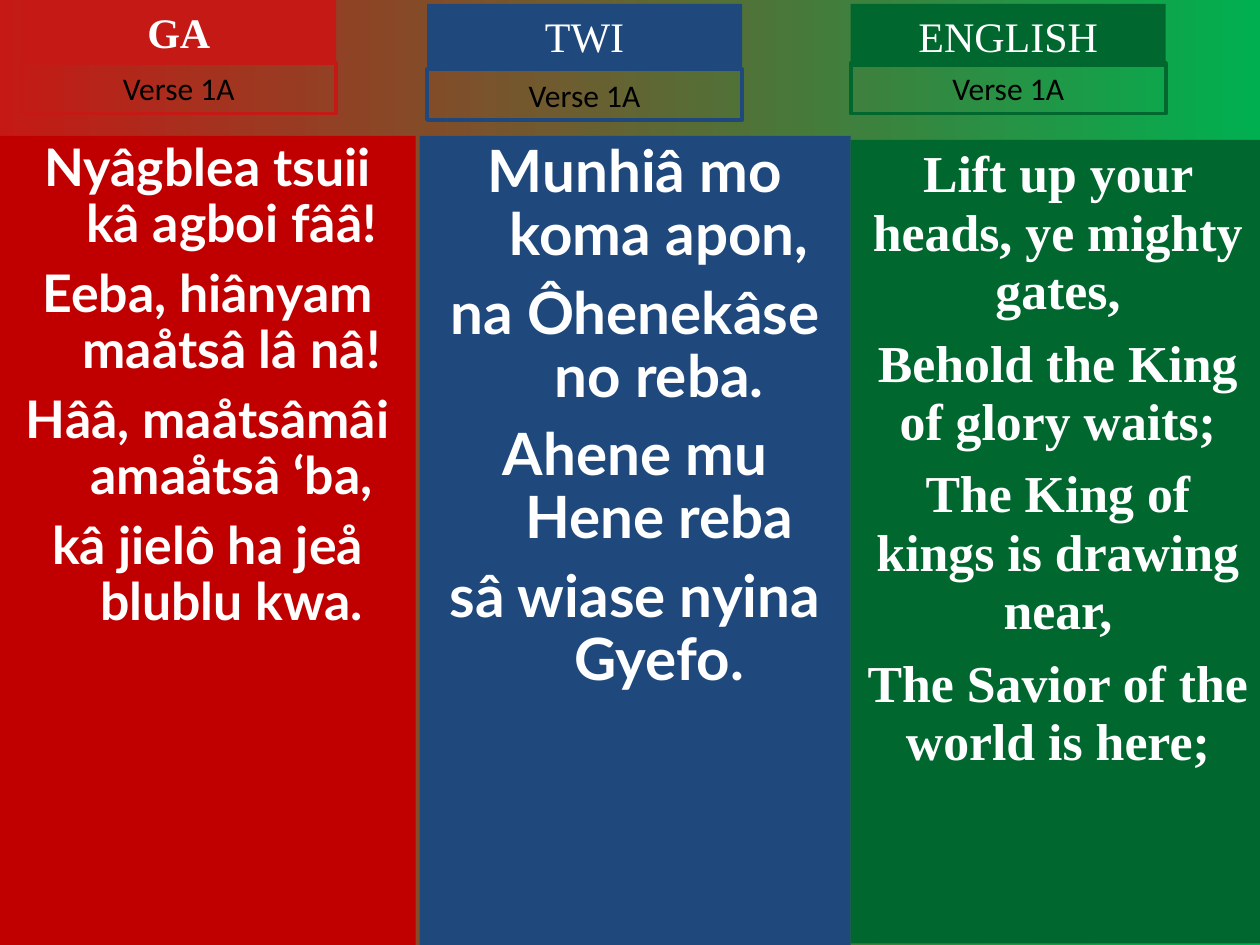
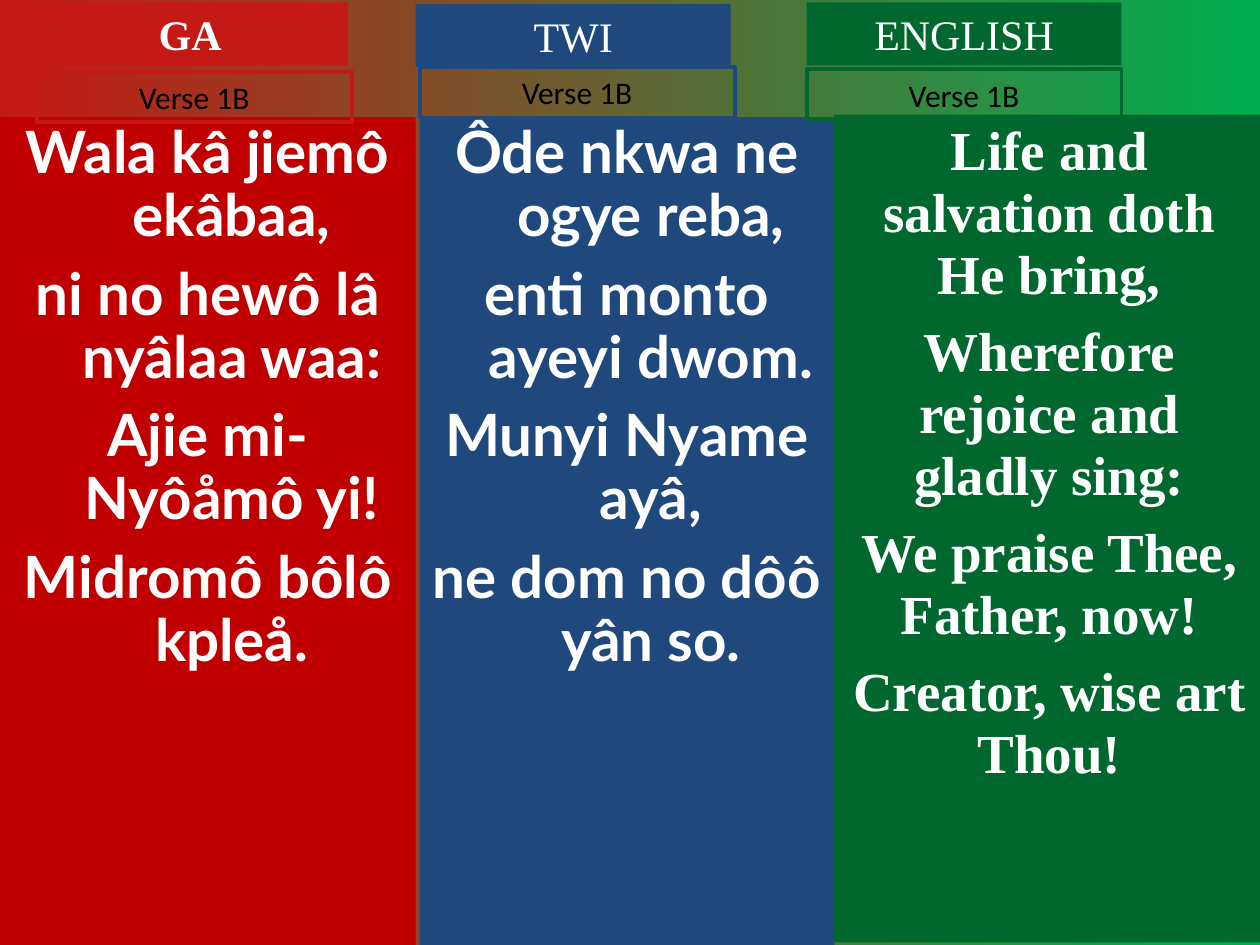
from dataclasses import dataclass

from pptx import Presentation
from pptx.dml.color import RGBColor
from pptx.enum.shapes import MSO_SHAPE
from pptx.enum.text import MSO_ANCHOR, PP_ALIGN
from pptx.util import Cm, Pt

RECTANGLE = MSO_SHAPE.RECTANGLE
TOP = MSO_ANCHOR.TOP
CENTER = PP_ALIGN.CENTER

COLORS = {
    "ga": "C51915", "ga_body": "C00000",
    "twi": "1F497D", "english": "00682F",
    "gradient_end": "00B050", "white": "FFFFFF", "black": "000000",
}
SERIF, SANS, LYRIC_SANS = "Times New Roman", "Calibri", "Lato"

# Sizes in centimetres
TAB_WIDTH, HEADER_HEIGHT, VERSE_HEIGHT = 6.35, 1.27, 1.02
HANGING_INDENT = 0.97


@dataclass(frozen=True)
class Language:
    name: str
    color: str
    body_color: str
    lyric_font: str
    line_spacing: float
    hanging: bool
    bold_name: bool = False


@dataclass(frozen=True)
class Area:
    left: float
    top: float
    width: float
    height: float


@dataclass(frozen=True)
class TextStyle:
    font: str
    size: float
    color: str
    bold: bool = False
    line_spacing: float = 1.0
    space_before: float = 0
    hanging: bool = False


@dataclass(frozen=True)
class Column:
    language: Language
    body: Area
    header: tuple[float, float]
    verse: tuple[float, float]
    size: float
    space_before: float
    lines: list[str]


GA = Language("GA", "ga", "ga_body", LYRIC_SANS, 0.9, True, True)
TWI = Language("TWI", "twi", "twi", LYRIC_SANS, 0.9, True)
ENGLISH = Language("ENGLISH", "english", "english", SERIF, 0.94, False)

VERSES = {
    "Verse 1A": [
        Column(GA, Area(0, 2.74, 8.38, 16.31), (0.43, 0), (0.43, 1.27), 29.6, 8, [
            "Nyâgblea tsuii kâ agboi fââ!",
            "Eeba, hiânyam maåtsâ lâ nâ!",
            "Hââ, maåtsâmâi amaåtsâ ‘ba,",
            "kâ jielô ha jeå blublu kwa.",
        ]),
        Column(TWI, Area(8.46, 2.74, 8.69, 16.31), (8.61, 0.08), (8.61, 1.4), 33.3, 9, [
            "Munhiâ mo koma apon,",
            "na Ôhenekâse no reba.",
            "Ahene mu Hene reba",
            "sâ wiase nyina Gyefo.",
        ]),
        Column(ENGLISH, Area(17.15, 2.82, 8.36, 16.2), (17.15, 0.08), (17.15, 1.27), 29.6, 8, [
            "Lift up your heads, ye mighty gates,",
            "Behold the King of glory waits;",
            "The King of kings is drawing near,",
            "The Savior of the world is here;",
        ]),
    ],
    "Verse 1B": [
        Column(GA, Area(0, 2.36, 8.38, 16.69), (0.66, 0.05), (0.74, 1.45), 33.3, 9, [
            "Wala kâ jiemô ekâbaa,",
            "ni no hewô lâ nyâlaa waa:",
            "Ajie mi-Nyôåmô yi!",
            "Midromô bôlô kpleå.",
        ]),
        Column(TWI, Area(8.46, 2.36, 8.36, 16.69), (8.38, 0.08), (8.46, 1.35), 33.3, 9, [
            "Ôde nkwa ne ogye reba,",
            "enti monto ayeyi dwom.",
            "Munyi Nyame ayâ,",
            "ne dom no dôô yân so.",
        ]),
        Column(ENGLISH, Area(16.81, 2.31, 8.69, 16.69), (16.26, 0.05), (16.26, 1.4), 31.4, 8.5, [
            "Life and salvation doth He bring,",
            "Wherefore rejoice and gladly sing:",
            "We praise Thee, Father, now!",
            "Creator, wise art Thou!",
        ]),
    ],
}


def rgb(name: str) -> RGBColor:
    return RGBColor.from_string(COLORS[name])


def paint_background(page) -> None:
    fill = page.background.fill
    fill.gradient()
    fill.gradient_angle = 0
    for stop, name in zip(fill.gradient_stops, ("ga", "gradient_end")):
        stop.color.rgb = rgb(name)


def add_panel(page, area: Area, lines: list[str], style: TextStyle,
              fill: str | None = None, line: str | None = None) -> None:
    """Draw a rectangle with one centred paragraph per line."""
    box = page.shapes.add_shape(RECTANGLE, Cm(area.left), Cm(area.top),
                                Cm(area.width), Cm(area.height))
    box.shadow.inherit = False
    if fill:
        box.fill.solid()
        box.fill.fore_color.rgb = rgb(fill)
    else:
        box.fill.background()
    if line:
        box.line.color.rgb = rgb(line)
        box.line.width = Pt(2.25)
    else:
        box.line.fill.background()

    frame = box.text_frame
    frame.word_wrap = True
    frame.vertical_anchor = TOP
    for index, text in enumerate(lines):
        para = frame.add_paragraph() if index else frame.paragraphs[0]
        para.alignment = CENTER
        para.line_spacing = style.line_spacing
        para.space_before = Pt(style.space_before if index else 0)
        if style.hanging:
            properties = para._p.get_or_add_pPr()
            properties.set("marL", str(Cm(HANGING_INDENT)))
            properties.set("indent", str(-Cm(HANGING_INDENT)))
        span = para.add_run()
        span.text = text
        span.font.name = style.font
        span.font.size = Pt(style.size)
        span.font.bold = style.bold
        span.font.color.rgb = rgb(style.color)


def add_column(page, column: Column, verse: str) -> None:
    language = column.language
    # Lyrics
    add_panel(page, column.body, column.lines,
              TextStyle(language.lyric_font, column.size, "white", True,
                        language.line_spacing, column.space_before, language.hanging),
              fill=language.body_color)
    # Language name
    add_panel(page, Area(*column.header, TAB_WIDTH, HEADER_HEIGHT), [language.name],
              TextStyle(SERIF, 24, "white", language.bold_name), fill=language.color)
    # Verse label
    add_panel(page, Area(*column.verse, TAB_WIDTH, VERSE_HEIGHT), [verse],
              TextStyle(SANS, 18, "black"), line=language.color)


def main() -> None:
    deck = Presentation()
    deck.slide_width, deck.slide_height = Cm(25.4), Cm(19.05)
    blank_layout = deck.slide_layouts[6]
    for verse, columns in VERSES.items():
        page = deck.slides.add_slide(blank_layout)
        paint_background(page)
        for column in columns:
            add_column(page, column, verse)
    deck.save("out.pptx")


if __name__ == "__main__":
    main()
